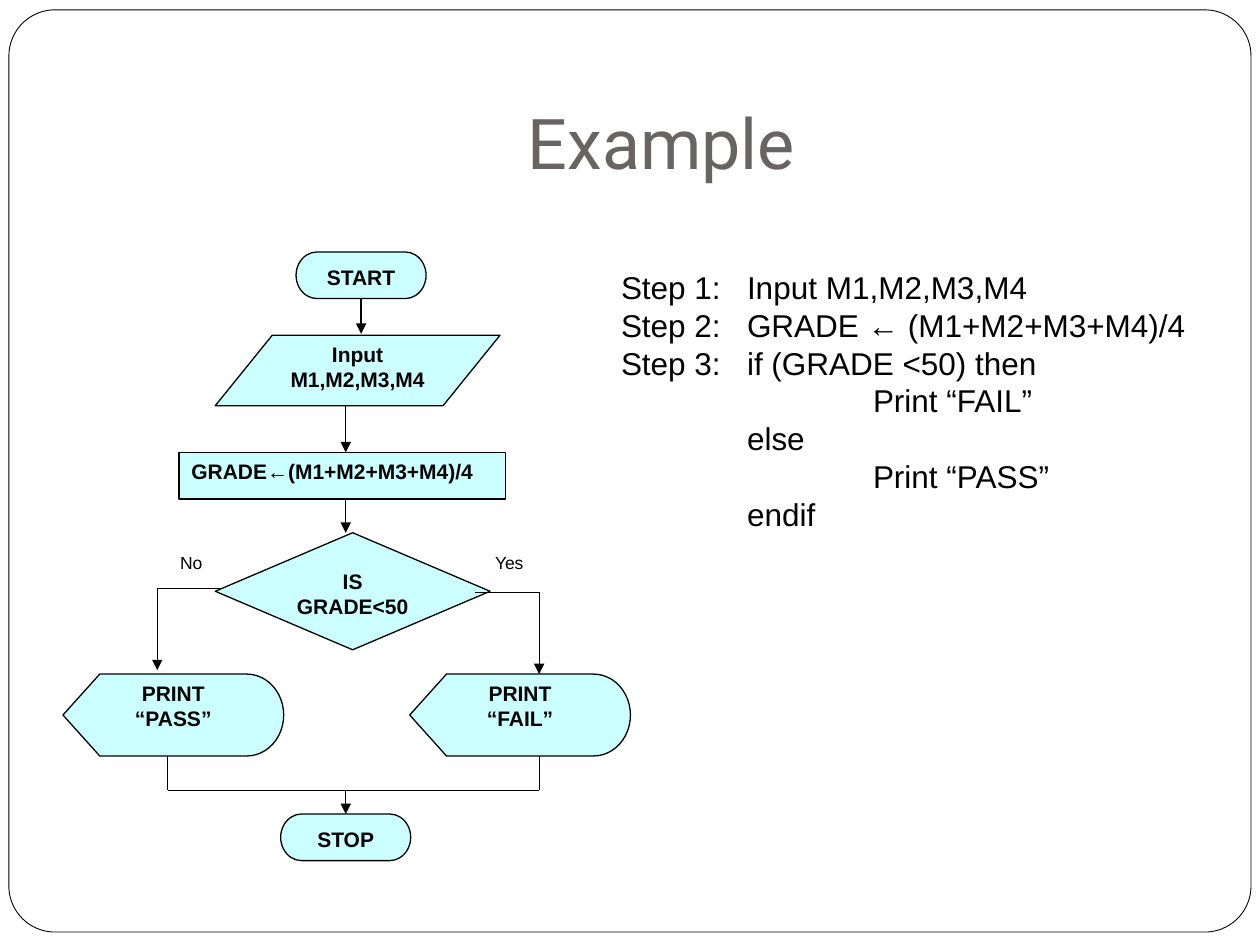
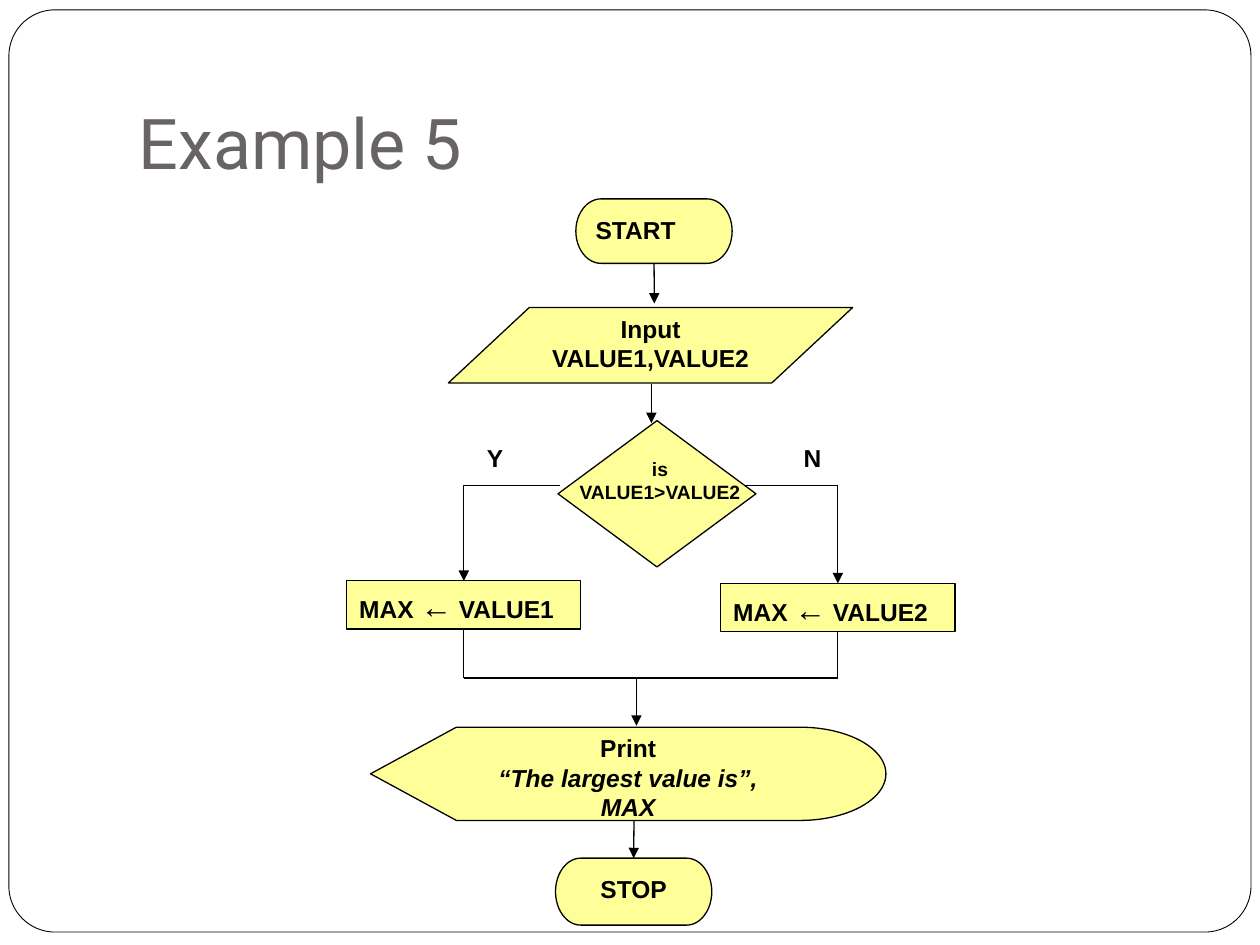
from itertools import pairwise
from lxml.etree import SubElement as Sub
from pptx import Presentation
from pptx.dml.color import RGBColor
from pptx.enum.shapes import MSO_CONNECTOR as Conn, MSO_SHAPE as Form
from pptx.enum.text import MSO_ANCHOR as Anchor, MSO_AUTO_SIZE as Auto, PP_ALIGN as Align
from pptx.oxml.ns import qn
from pptx.util import Cm, Pt

INK, PAPER, GREY = "000000", "FFFFFF", "696464"
HEAD, BODY = "Roboto", "Arial"
LEFT, MID = Align.LEFT, Align.CENTER
ENDS, IO, BOX = Form.FLOWCHART_TERMINATOR, Form.FLOWCHART_DATA, Form.FLOWCHART_PROCESS
ASK, SHOW = Form.FLOWCHART_DECISION, Form.FLOWCHART_DISPLAY
FRAME = (0.18, 0.2, 25.04, 18.59)
TITLE = (2.54, 0.76, 21.59, 3.18)

# Content, all places in cm: nodes are (form, place, lines, align),
# routes are (points, arrow), labels are (place, lines, align, size, bold)
STEPS = ["Step 1:\tInput M1,M2,M3,M4",
         "Step 2:\tGRADE ← (M1+M2+M3+M4)/4",
         "Step 3:\tif (GRADE <50) then",
         "\t\tPrint “FAIL”",
         "\telse",
         "\t\tPrint “PASS”",
         "\tendif"]

GRADE = {
    "title": "Example", "align": MID, "fill": "CCFFFF", "size": 12,
    "nodes": [
        (ENDS, (5.97, 5.08, 2.62, 0.94), ["START"], MID),
        (IO, (4.34, 6.76, 5.74, 1.42), ["Input", "M1,M2,M3,M4"], MID),
        (BOX, (3.61, 9.12, 6.58, 0.94), ["GRADE←(M1+M2+M3+M4)/4"], LEFT),
        (ASK, (4.34, 10.74, 5.54, 2.36), ["IS", "GRADE<50"], MID),
        (SHOW, (1.27, 13.59, 4.45, 1.65), ["PRINT", "“PASS”"], MID),
        (SHOW, (8.26, 13.59, 4.45, 1.65), ["PRINT", "“FAIL”"], MID),
        (ENDS, (5.66, 16.41, 2.62, 0.94), ["STOP"], MID)],
    "routes": [
        ([(7.28, 6.02), (7.28, 6.73)], True),
        ([(6.97, 8.18), (6.97, 9.12)], True),
        ([(6.97, 10.06), (6.97, 10.74)], True),
        ([(4.44, 11.86), (3.17, 11.86), (3.17, 13.51)], True),
        ([(9.58, 11.94), (10.87, 11.94), (10.87, 13.59)], True),
        ([(3.38, 15.24), (3.38, 15.93), (10.87, 15.93), (10.87, 15.24)], False),
        ([(6.97, 15.93), (6.97, 16.41)], True)],
    "labels": [
        ((12.27, 5.28, 12.7, 6.73), STEPS, LEFT, 18, False),
        ((3.38, 11, 1.07, 0.69), ["No"], LEFT, 10, False),
        ((9.73, 11, 1.47, 0.69), ["Yes"], LEFT, 10, False)],
}

# A tuple line holds (text, size, bold) runs
PICK = [[("MAX ", 14, True), ("←", 18, False), (f" VALUE{n}", 14, True)] for n in (1, 2)]
LARGE = {
    "title": "Example 5", "align": LEFT, "fill": "FFFF99", "size": 14,
    "nodes": [
        (ENDS, (11.61, 4.01, 3.15, 1.3), ["START"], LEFT),
        (IO, (9.04, 6.2, 8.15, 1.52), ["Input", "VALUE1,VALUE2"], MID),
        (ASK, (11.25, 8.48, 3.99, 2.95), [], MID),
        (BOX, (6.99, 11.71, 4.72, 0.97), [PICK[0]], LEFT),
        (BOX, (14.53, 11.76, 4.72, 0.97), [PICK[1]], LEFT),
        (SHOW, (7.47, 14.66, 10.39, 1.88), ["Print", "“The largest value is”, MAX"], MID),
        (ENDS, (11.2, 17.3, 3.15, 1.35), ["STOP"], MID)],
    "routes": [
        ([(13.19, 5.31), (13.19, 6.12)], True),
        ([(13.13, 7.75), (13.13, 8.53)], True),
        ([(11.28, 9.78), (9.35, 9.78), (9.35, 11.71)], True),
        ([(15.01, 9.78), (16.89, 9.78), (16.89, 11.76)], True),
        ([(9.35, 12.68), (9.35, 13.67), (16.89, 13.67), (16.89, 12.73)], False),
        ([(12.83, 13.67), (12.83, 14.63)], True),
        ([(12.78, 16.54), (12.78, 17.3)], True)],
    "labels": [
        ((9.04, 8.81, 1.88, 0.97), ["Y"], MID, 14, True),
        ((15.95, 8.81, 1.88, 0.97), ["N"], LEFT, 14, True),
        ((10.31, 9.09, 5.99, 1.63), ["is", "VALUE1>VALUE2"], MID, 11, True)],
}


def tint(text):
    return RGBColor.from_string(text)


def spot(place):
    return [Cm(v) for v in place]


def style(font, size, bold=False, name=BODY, color=INK):
    font.name, font.size, font.bold = name, Pt(size), bold
    font.color.rgb = tint(color)


def write(frame, lines, align, size, bold):
    frame.word_wrap = True
    frame.vertical_anchor = Anchor.TOP
    for n, line in enumerate(lines):
        para = frame.paragraphs[0] if n == 0 else frame.add_paragraph()
        para.alignment = align
        if isinstance(line, list):
            for text, pts, thick in line:
                run = para.add_run()
                run.text = text
                style(run.font, pts, thick)
            continue
        para.add_run().text = line
        if "\t" in line:
            tabs = Sub(para._p.get_or_add_pPr(), qn("a:tabLst"))
            for stop in (2.54, 5.08):
                Sub(tabs, qn("a:tab"), pos=str(Cm(stop)), algn="l")
        style(para.font, size, bold)
        if "largest" in line:
            para.font.italic = True


def block(slide, form, place, fill, width):
    shape = slide.shapes.add_shape(form, *spot(place))
    shape.shadow.inherit = False
    shape.fill.solid()
    shape.fill.fore_color.rgb = tint(fill)
    shape.line.color.rgb = tint(INK)
    shape.line.width = Pt(width)
    return shape


def site(point, nodes):
    """Find the node whose top or bottom middle lies at the point."""
    for form, (x, y, w, h), shape in nodes:
        if form in (BOX, ENDS) and abs(x + w / 2 - point[0]) < 0.03:
            for side, edge in ((0, y), (2, y + h)):
                if abs(edge - point[1]) < 0.03:
                    return shape, side
    return None


def route(slide, points, arrow, nodes):
    for start, end in pairwise(points):
        wire = slide.shapes.add_connector(Conn.STRAIGHT, *spot(start + end))
        wire.line.color.rgb = tint(INK)
        wire.line.width = Pt(0.75)
        if arrow and end == points[-1]:
            Sub(wire.line._get_or_add_ln(), qn("a:tailEnd"), type="triangle")
        Sub(wire._element.spPr, qn("a:effectLst"))
        if hit := site(start, nodes):
            wire.begin_connect(*hit)
        if hit := site(end, nodes):
            wire.end_connect(*hit)


def head(slide, text, align):
    title = slide.shapes.title
    title.left, title.top, title.width, title.height = spot(TITLE)
    frame = title.text_frame
    frame.text = text
    frame.auto_size = Auto.NONE
    frame.vertical_anchor = Anchor.BOTTOM
    frame.margin_bottom = Cm(0.25)
    para = frame.paragraphs[0]
    para.alignment = align
    style(para.font, 40, name=HEAD, color=GREY)


def chart(slide, flow):
    head(slide, flow["title"], flow["align"])
    nodes = []
    for form, place, lines, align in flow["nodes"]:
        shape = block(slide, form, place, flow["fill"], 0.75)
        write(shape.text_frame, lines, align, flow["size"], True)
        if form == ASK:
            shape.text_frame.margin_left = shape.text_frame.margin_right = 0
        nodes.append((form, place, shape))
    for points, arrow in flow["routes"]:
        route(slide, points, arrow, nodes)
    for place, *text in flow["labels"]:
        write(slide.shapes.add_textbox(*spot(place)).text_frame, *text)


def main():
    deck = Presentation()
    deck.slide_width, deck.slide_height = Cm(25.4), Cm(19.05)
    layout = deck.slide_layouts[5]
    slides = [deck.slides.add_slide(layout) for _ in range(2)]

    # Shared rounded frame, moved to the back of the layout
    frame = block(slides[0], Form.ROUNDED_RECTANGLE, FRAME, PAPER, 0.5)
    frame.adjustments[0] = 0.05
    layout.shapes.element.insert(2, frame.element)

    for slide, flow in zip(slides, (GRADE, LARGE)):
        chart(slide, flow)
    deck.save("out.pptx")


if __name__ == "__main__":
    main()
